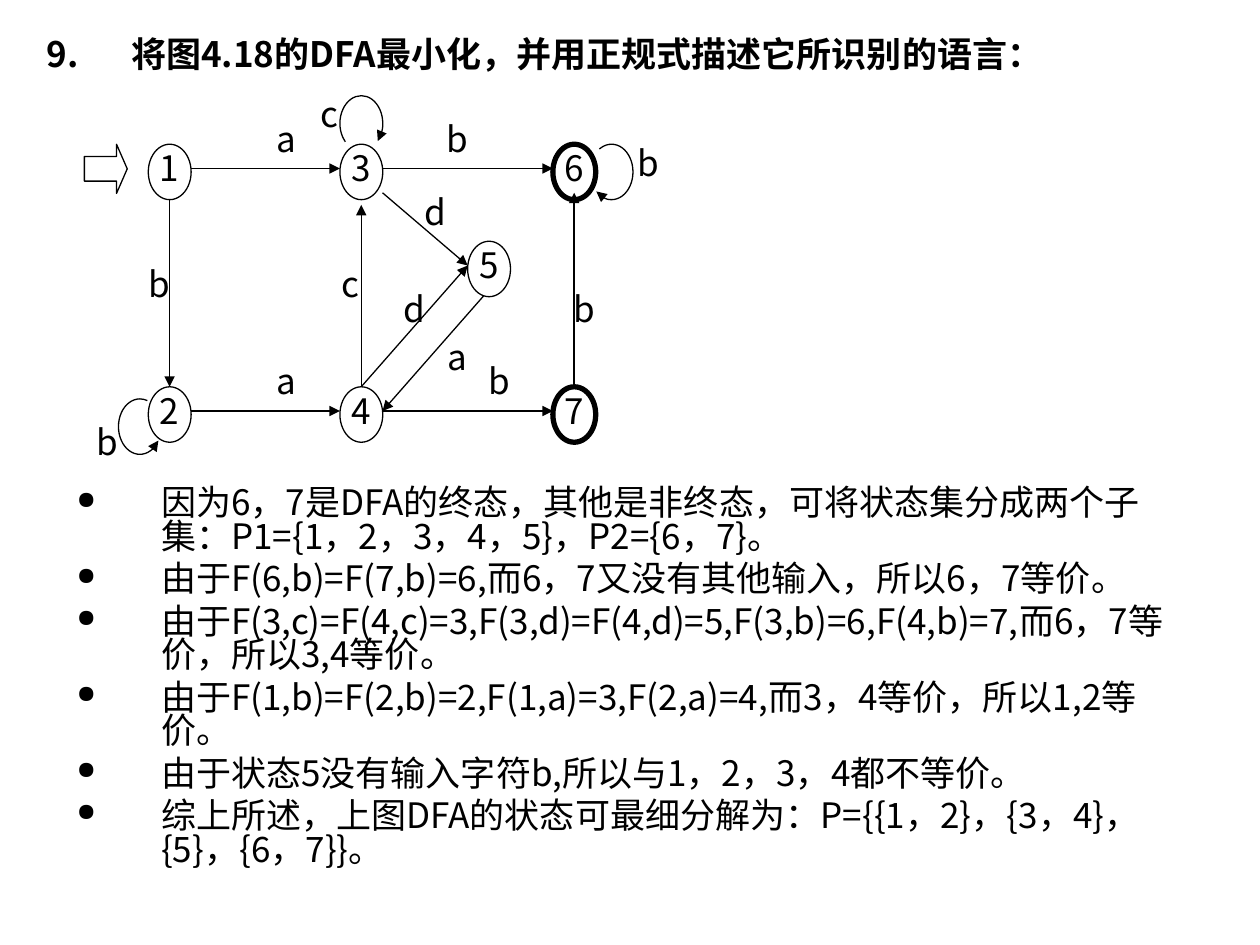
from dataclasses import dataclass

from lxml.etree import SubElement
from pptx import Presentation
from pptx.dml.color import RGBColor
from pptx.enum.shapes import MSO_CONNECTOR as Link, MSO_SHAPE as Preset
from pptx.enum.text import MSO_ANCHOR as Anchor, MSO_AUTO_SIZE as Fit, PP_ALIGN as Align
from pptx.oxml.ns import qn
from pptx.util import Inches, Pt


@dataclass(frozen=True)
class Theme:
    ink: RGBColor = RGBColor(0, 0, 0)
    paper: RGBColor = RGBColor(255, 255, 255)
    face: str = "Noto Sans CJK SC"
    size: int = 20
    thin: float = 0.75
    thick: float = 3


THEME = Theme()
TITLE = "将图4.18的DFA最小化，并用正规式描述它所识别的语言："
STEPS = [
    "因为6，7是DFA的终态，其他是非终态，可将状态集分成两个子集：P1={1，2，3，4，5}，P2={6，7}。",
    "由于F(6,b)=F(7,b)=6,而6，7又没有其他输入，所以6，7等价。",
    "由于F(3,c)=F(4,c)=3,F(3,d)=F(4,d)=5,F(3,b)=6,F(4,b)=7,而6，7等价，所以3,4等价。",
    "由于F(1,b)=F(2,b)=2,F(1,a)=3,F(2,a)=4,而3，4等价，所以1,2等价。",
    "由于状态5没有输入字符b,所以与1，2，3，4都不等价。",
    "综上所述，上图DFA的状态可最细分解为：P={{1，2}，{3，4}，{5}，{6，7}}。",
]

# Diagram places are (column, row) on a fine grid.
LEFT, TOP, COL, ROW = 0.67, 0.76, 0.169, 0.1925
NODE = (0.34, 0.44)
STATES = {"1": (3, 2), "2": (3, 12), "3": (12, 2), "4": (12, 12),
          "5": (18, 6), "6": (22, 2), "7": (22, 12)}
FINAL = {"6", "7"}
# Start, end, label, label place
EDGES = [
    ((5, 3), (12, 3), "a", (9, 1)),
    ((14, 3), (22, 3), "b", (17, 1)),
    ((4, 4.3), (4, 12), "b", (3, 7)),
    ((5, 13), (12, 13), "a", (9, 11)),
    ((14, 13), (22, 13), "b", (19, 11)),
    ((13, 12), (13, 4.5), "c", (12, 7)),
    ((14, 4), (18, 7), "d", (16, 4)),
    ((13, 12), (18, 7), "d", (15, 8)),
    ((18.75, 8.25), (14, 13), "a", (17, 10)),
    ((23, 12), (23, 4), "b", (23, 8)),
]
# Corner, clockwise start and end angle, end with the arrow, label, label place
LOOPS = [
    ((12, 0), 131, 47, "a:tailEnd", "c", (11, 0)),
    ((23.75, 2), -118, 128, "a:tailEnd", "b", (26, 2)),
    ((1.6, 12.5), 37, -74, "a:headEnd", "b", (0.6, 13.5)),
]


def at(place):
    column, row = place
    return Inches(LEFT + COL * column), Inches(TOP + ROW * row)


def write(para, text, bold=False, **layout):
    for name, value in layout.items():
        setattr(para, name, value)
    span = para.add_run()
    span.text = text
    look = {"name": THEME.face, "size": Pt(THEME.size), "bold": bold}
    for name, value in look.items():
        setattr(span.font, name, value)
    span.font.color.rgb = THEME.ink
    SubElement(span.font._element, qn("a:ea"), typeface=THEME.face)


def hang(para, tag, scale=100, **marker):
    """Give the paragraph a hanging bullet or number, scaled in percent."""
    props = para._p.get_or_add_pPr()
    indent = Inches(0.67)
    props.set("marL", str(indent))
    props.set("indent", str(-indent))
    props.set("hangingPunct", "0")
    SubElement(props, qn("a:buSzPct"), val=str(scale * 1000))
    SubElement(props, qn(tag), **marker)


def set_frame(frame, margins=(0, 0), **layout):
    across, down = map(Inches, margins)
    values = {"margin_left": across, "margin_right": across, "margin_top": down,
              "margin_bottom": down, "word_wrap": True, "auto_size": Fit.NONE}
    for name, value in (values | layout).items():
        setattr(frame, name, value)
    return frame


def draw_line(shape, width=THEME.thin, arrow=None):
    shape.line.color.rgb = THEME.ink
    shape.line.width = Pt(width)
    if arrow:
        SubElement(shape.line._get_or_add_ln(), qn(arrow), type="triangle")


def add_preset(page, kind, place, size, weight=THEME.thin, arrow=None):
    shape = page.shapes.add_shape(kind, *at(place), *map(Inches, size))
    shape.shadow.inherit = False
    shape.fill.solid()
    shape.fill.fore_color.rgb = THEME.paper
    draw_line(shape, weight, arrow)
    return shape


def add_label(page, text, place):
    box = page.shapes.add_textbox(*at(place), Inches(COL), Inches(0.31))
    frame = set_frame(box.text_frame, vertical_anchor=Anchor.TOP, word_wrap=False)
    write(frame.paragraphs[0], text, alignment=Align.CENTER, line_spacing=0.96)


def add_edge(page, start, end):
    edge = page.shapes.add_connector(Link.STRAIGHT, *at(start), *at(end))
    draw_line(edge, arrow="a:tailEnd")
    SubElement(edge._element.spPr, qn("a:effectLst"))


def add_loop(page, corner, first, last, arrow):
    loop = add_preset(page, Preset.ARC, corner, NODE, arrow=arrow)
    loop.fill.background()
    for index, angle in enumerate((first, last)):
        loop.adjustments[index] = angle % 360 * 0.6  # 60000 units a degree


def add_title(page):
    title = page.shapes.title
    place = {"left": 0.27, "top": 0.21, "width": 9.15, "height": 0.63}
    for name, value in place.items():
        setattr(title, name, Inches(value))
    frame = set_frame(title.text_frame, (0.1, 0.05), vertical_anchor=Anchor.TOP)
    para = frame.paragraphs[0]
    hang(para, "a:buAutoNum", type="arabicPeriod", startAt="9")
    write(para, TITLE, bold=True, alignment=Align.LEFT)


def add_diagram(page):
    add_preset(page, Preset.RIGHT_ARROW, (0, 2), (0.34, 0.39)).adjustments[1] = 0.25
    for name, place in STATES.items():
        weight = THEME.thick if name in FINAL else THEME.thin
        state = add_preset(page, Preset.OVAL, place, NODE, weight)
        frame = set_frame(state.text_frame, vertical_anchor=Anchor.TOP)
        write(frame.paragraphs[0], name, alignment=Align.CENTER, line_spacing=0.88)
    for *ends, label, place in EDGES:
        add_edge(page, *ends)
        add_label(page, label, place)
    for *curve, label, place in LOOPS:
        add_loop(page, *curve)
        add_label(page, label, place)


def add_steps(page):
    box = page.shapes.add_textbox(*map(Inches, (0.51, 3.83, 9, 3.15)))
    frame = set_frame(box.text_frame, (0.1, 0.05))
    for number, text in enumerate(STEPS):
        para = frame.add_paragraph() if number else frame.paragraphs[0]
        hang(para, "a:buChar", scale=70, char="●")
        write(para, text, line_spacing=0.8, space_before=Pt(5 if number else 0))


def main():
    deck = Presentation()
    deck.slide_width, deck.slide_height = Inches(10), Inches(7.5)
    page = deck.slides.add_slide(deck.slide_layouts[5])
    add_title(page)
    add_diagram(page)
    add_steps(page)
    deck.save("out.pptx")


if __name__ == "__main__":
    main()
